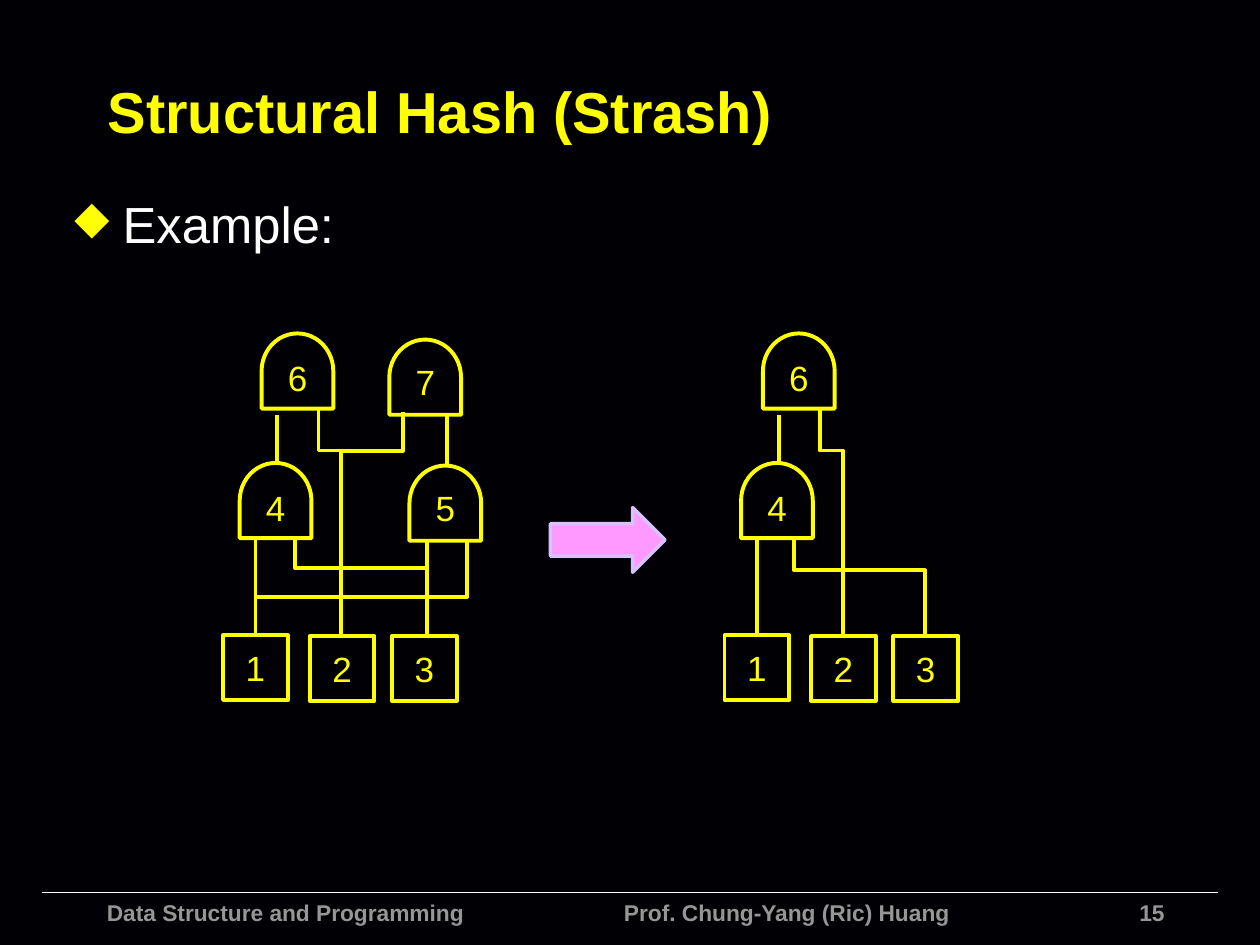
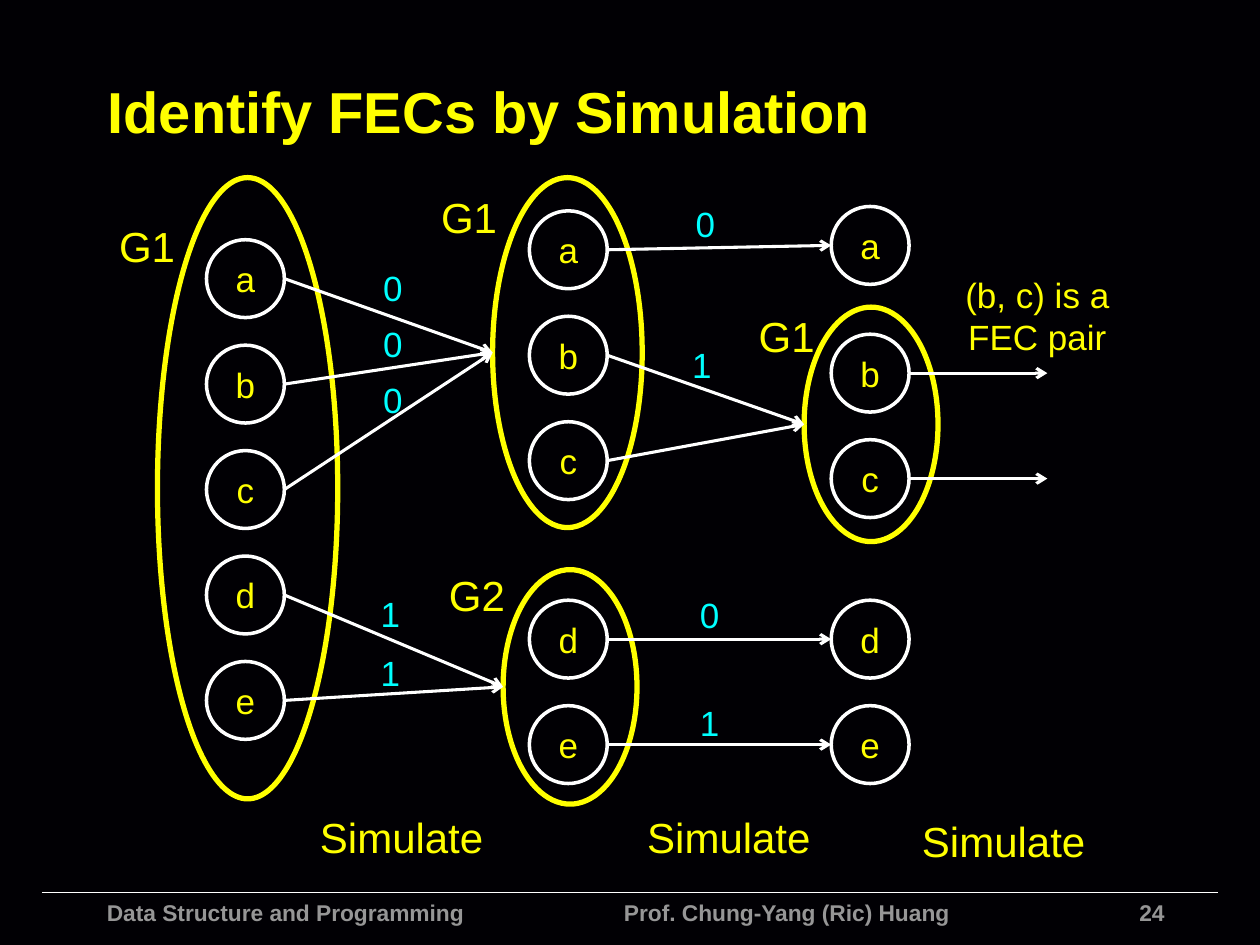
"""Build two slides on structural hashing and simulation."""
from lxml.etree import SubElement
from pptx import Presentation
from pptx.dml.color import RGBColor
from pptx.enum.shapes import MSO_CONNECTOR, MSO_SHAPE
from pptx.enum.text import MSO_ANCHOR, PP_ALIGN
from pptx.oxml.ns import qn
from pptx.util import Pt

BLACK = RGBColor(0x01, 0x00, 0x04)
WHITE = RGBColor(0xFF, 0xFF, 0xFF)
YELLOW = RGBColor(0xFF, 0xFF, 0x00)
CYAN = RGBColor(0x00, 0xFF, 0xFF)
GREY = RGBColor(0x96, 0x96, 0x96)
PINK = RGBColor(0xFF, 0x99, 0xFF)
LILAC = RGBColor(0xD6, 0xC2, 0xFF)
FACE = "Arial"
NODE = 44.5
STEP = 60.25


def write(frame, text, size, color=YELLOW, bold=False, align=PP_ALIGN.CENTER):
    """Put one styled paragraph in a text frame."""
    para = frame.paragraphs[0]
    para.text = text
    para.alignment = align
    font = para.font
    font.name, font.size, font.bold = FACE, Pt(size), bold
    font.color.rgb = color
    return para


def label(slide, text, box, size, wrap=False, anchor=MSO_ANCHOR.TOP, **style):
    """Add a text box and return its paragraph."""
    frame = slide.shapes.add_textbox(*map(Pt, box)).text_frame
    frame.word_wrap = wrap
    frame.vertical_anchor = anchor
    return write(frame, text, size, **style)


def tag(slide, text, mid, top, size, color=YELLOW):
    """Add a short label centred on mid."""
    label(slide, text, (mid - 55, top, 110, size * 1.5), size, color=color)


def shape(slide, kind, box, color, width, fill=None):
    """Add an outlined preset shape."""
    item = slide.shapes.add_shape(kind, *map(Pt, box))
    item.shadow.inherit = False
    item.line.color.rgb = color
    item.line.width = Pt(width)
    if fill is None:
        item.fill.background()
    else:
        item.fill.solid()
        item.fill.fore_color.rgb = fill
    return item


def line(slide, start, end, color, width, arrow=False):
    """Add a straight line, with an arrowhead on request."""
    item = slide.shapes.add_connector(
        MSO_CONNECTOR.STRAIGHT, *map(Pt, (*start, *end)))
    item.line.color.rgb = color
    item.line.width = Pt(width)
    if arrow:
        SubElement(item.line._get_or_add_ln(), qn("a:tailEnd"), type="arrow")
    SubElement(item._element.spPr, qn("a:effectLst"))


def wire(slide, left, top, points):
    """Draw a wire through points given from left and top."""
    spots = [(left + x, top + y) for x, y in points]
    if len(spots) == 2:
        line(slide, *spots, YELLOW, 2.25)
        return
    first, *rest = [(Pt(x), Pt(y)) for x, y in spots]
    path = slide.shapes.build_freeform(*first)
    path.add_line_segments(rest, close=False)
    item = path.convert_to_shape()
    item.shadow.inherit = False
    item.fill.background()
    item.line.color.rgb = YELLOW
    item.line.width = Pt(2.25)


def base(deck, title, number):
    """Add a slide with its background, title and footer."""
    slide = deck.slides.add_slide(deck.slide_layouts[6])
    slide.background.fill.solid()
    slide.background.fill.fore_color.rgb = BLACK
    line(slide, (24, 510), (696, 510), WHITE, 1)
    foot = {"color": GREY, "bold": True, "wrap": True}
    label(slide, number, (444, 510, 228.5, 30), 13, align=PP_ALIGN.RIGHT, **foot)
    para = label(slide, "Data Structure and Programming\tProf. Chung-Yang (Ric) Huang",
                 (54, 510, 521, 30), 13, align=PP_ALIGN.LEFT, **foot)
    tabs = para._p.get_or_add_pPr()
    tabs.insert(0, tabs.makeelement(qn("a:tabLst")))
    SubElement(tabs[0], qn("a:tab"), pos=str(Pt(295.5)), algn="l")
    label(slide, title, (54.5, 26.5, 636.5, 73), 33, wrap=True, bold=True,
          anchor=MSO_ANCHOR.MIDDLE, align=PP_ALIGN.LEFT)
    return slide


def bullet(slide, text, box):
    """Add a paragraph with a yellow diamond bullet."""
    para = label(slide, text, box, 29, wrap=True, color=WHITE, align=PP_ALIGN.LEFT)
    props = para._p.get_or_add_pPr()
    props.set("marL", str(Pt(27.5)))
    props.set("indent", str(Pt(-27.5)))
    tint = props.makeelement(qn("a:buClr"))
    SubElement(tint, qn("a:srgbClr"), val=str(YELLOW))
    size = props.makeelement(qn("a:buSzPct"), val="90000")
    mark = props.makeelement(qn("a:buChar"), char="◆")
    for spot, part in enumerate((tint, size, mark)):
        props.insert(spot, part)
    para.space_before = Pt(6)


def circuit(slide, left, top, gates, wires):
    """Draw three input pins with the gates and wires above them."""
    for name, x, y in (("1", 0, 172), ("2", 49.5, 172.5), ("3", 96.5, 172.5)):
        pin = shape(slide, MSO_SHAPE.RECTANGLE, (left + x, top + y, 37, 37), YELLOW, 2.25)
        pin.text_frame.word_wrap = False
        write(pin.text_frame, name, 20)
    for name, x, y, drop in gates:
        x, y = left + x, top + y
        gate = shape(slide, MSO_SHAPE.FLOWCHART_DELAY,
                     (x - 21.5, y - 20.5, 43, 41), YELLOW, 2.25)
        gate.rotation = 270
        tag(slide, name, x, y + drop - 15.75, 20)
    for points in wires:
        wire(slide, left, top, points)


def strash(deck):
    """Build the slide that merges equal gates."""
    slide = base(deck, "Structural Hash (Strash)", "15")
    bullet(slide, "Example:", (35.5, 106.5, 612, 372))
    gates = [("6", 42.5, 21, 4), ("4", 30, 95, 4)]
    twins = [("7", 115.5, 24.5, 2.5), ("5", 127, 96.5, 2.5)]
    wires = [
        [(18.5, 172), (18.5, 117)],
        [(67.5, 172.5), (67.5, 66.5), (54.5, 66.5), (54.5, 43)],
        [(31, 73), (31, 46)],
    ]
    doubles = [
        [(116.5, 172), (116.5, 118)],
        [(18.5, 150), (139.5, 150), (139.5, 117)],
        [(116.5, 133.5), (41, 133.5), (41, 117)],
        [(128, 74.5), (128, 47)],
        [(67.5, 66.5), (103, 66.5), (103, 44.5)],
    ]
    single = [[(114.5, 172), (114.5, 135), (40, 135), (40, 117)]]
    circuit(slide, 127.5, 191, gates + twins, wires + doubles)
    circuit(slide, 414, 191, gates, wires + single)
    shape(slide, MSO_SHAPE.RIGHT_ARROW, (314.5, 290, 65.5, 37), LILAC, 2, PINK)


def graph(slide, left, top):
    """Draw the node columns, their groups, arrows and labels."""
    def ring(x, y, wide, high):
        """Outline one group and return its left middle."""
        shape(slide, MSO_SHAPE.OVAL, (left + x, top + y, wide, high), YELLOW, 3)
        return left + x, top + y + high / 2

    def column(names, x, y):
        """Stack nodes and return their left middles."""
        spots = []
        for row, name in enumerate(names):
            high = top + y + row * STEP
            node = shape(slide, MSO_SHAPE.OVAL, (left + x, high, NODE, NODE), WHITE, 2)
            node.text_frame.word_wrap = False
            write(node.text_frame, name, 20)
            spots.append((left + x, high + NODE / 2))
        return spots

    def link(nodes, ends):
        """Join the right of each node to its end."""
        for (x, y), end in zip(nodes, ends):
            line(slide, (x + NODE, y), end, WHITE, 1.75, arrow=True)

    ring(30, 1.5, 103, 355)
    upper = ring(221.5, 1.5, 85.5, 200)
    lower = ring(227.5, 225.5, 76.5, 134)
    pair = ring(399.5, 75.5, 76.5, 134)
    start = column("abcde", 58, 37)
    middle = column("abc", 242.5, 20.5) + column("de", 242.5, 243)
    lone = column("a", 415, 18)
    both = column("bc", 415, 91)
    last = column("de", 415, 243)
    link(start, [upper] * 3 + [lower] * 2)
    link(middle, lone + [pair] * 2 + last)
    link(both, [(left + 538.5, y) for x, y in both])

    bits = [("0", 164.5, 49), ("0", 164.5, 81), ("0", 164.5, 113),
            ("1", 163, 235), ("1", 163, 268.5), ("0", 343, 12),
            ("1", 341, 93), ("0", 345.5, 235.5), ("1", 345.5, 297.5)]
    names = [("G1", 24, 22.5), ("G1", 208, 6), ("G2", 212.5, 222), ("G1", 389.5, 74),
             ("Simulate", 169.5, 360), ("Simulate", 356.5, 360), ("Simulate", 513.5, 362.5)]
    for items, size, color in ((bits, 20, CYAN), (names, 24, YELLOW)):
        for text, x, y in items:
            tag(slide, text, left + x, top + y, size, color)
    label(slide, "(b, c) is a FEC pair", (left + 482, top + 52.5, 101.5, 55.5), 20, wrap=True)


def main():
    """Build and save the deck."""
    deck = Presentation()
    deck.slide_width, deck.slide_height = Pt(720), Pt(540)
    strash(deck)
    graph(base(deck, "Identify FECs by Simulation", "24"), 60, 100)
    deck.save("out.pptx")


if __name__ == "__main__":
    main()
